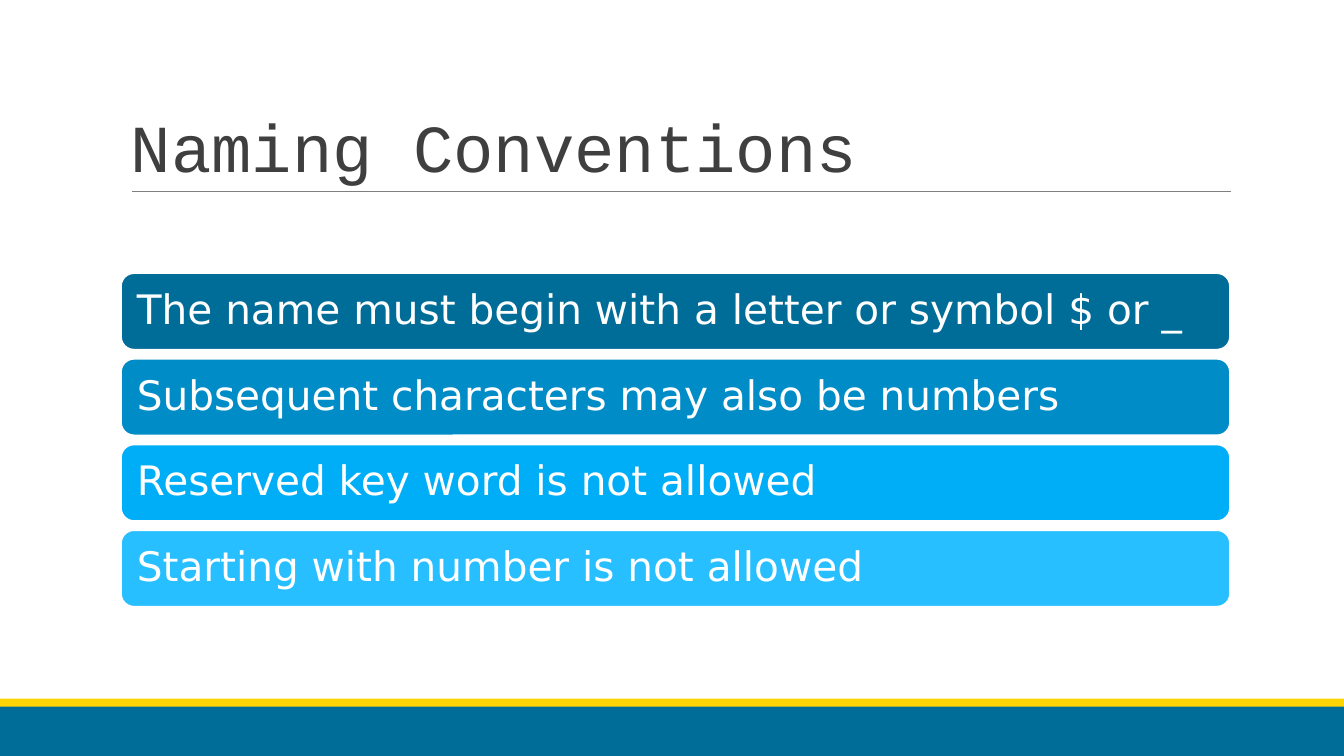
from pptx import Presentation
from pptx.dml.color import RGBColor
from pptx.enum.shapes import MSO_CONNECTOR, MSO_SHAPE
from pptx.enum.text import MSO_ANCHOR, PP_ALIGN
from pptx.oxml.ns import qn
from pptx.util import Inches, Pt

# Content
TITLE = "Naming Conventions"
RULES = [
    ("The name must begin with a letter or symbol $ or _", RGBColor(0x00, 0x6C, 0x98)),
    ("Subsequent characters may also be numbers", RGBColor(0x00, 0x8C, 0xC7)),
    ("Reserved key word is not allowed", RGBColor(0x00, 0xAE, 0xF7)),
    ("Starting with number is not allowed", RGBColor(0x27, 0xBF, 0xFF)),
]

# Colours and fonts
WHITE = RGBColor(0xFF, 0xFF, 0xFF)
BLUE = RGBColor(0x00, 0x6C, 0x98)
YELLOW = RGBColor(0xFF, 0xD5, 0x03)
GREY = RGBColor(0x7F, 0x7F, 0x7F)
DARK = RGBColor(0x3F, 0x3F, 0x3F)
TITLE_FONT, BODY_FONT = "Courier New", "DejaVu Sans"

# Layout in inches
SLIDE_W, SLIDE_H = 13.33, 7.5
LEFT, WIDTH = 1.2, 11
BAR_TOP, BAR_H, BAR_STEP = 2.71, 0.76, 0.85


def add_block(s, kind, x, y, w, h, fill):
    sp = s.shapes.add_shape(kind, Inches(x), Inches(y), Inches(w), Inches(h))
    sp.shadow.inherit = False
    sp.fill.solid()
    sp.fill.fore_color.rgb = fill
    sp.line.fill.background()
    return sp


def set_text(tf, text, font, size, color, spacing, anchor, inset_x, inset_y):
    tf.word_wrap = True
    tf.vertical_anchor = anchor
    tf.margin_left = tf.margin_right = Inches(inset_x)
    tf.margin_top = tf.margin_bottom = Inches(inset_y)
    p = tf.paragraphs[0]
    p.text = text
    p.alignment = PP_ALIGN.LEFT
    p.line_spacing = spacing
    r = p.runs[0]
    r.font.name = font
    r.font.size = Pt(size)
    r.font.color.rgb = color


prs = Presentation()
prs.slide_width, prs.slide_height = Inches(SLIDE_W), Inches(SLIDE_H)
s = prs.slides.add_slide(prs.slide_layouts[6])

# Footer bands
add_block(s, MSO_SHAPE.RECTANGLE, 0, 7, SLIDE_W, 0.5, BLUE)
add_block(s, MSO_SHAPE.RECTANGLE, 0, 6.93, SLIDE_W, 0.08, YELLOW)

# Title with rule below
rule = s.shapes.add_connector(MSO_CONNECTOR.STRAIGHT, Inches(1.31), Inches(1.9),
                              Inches(12.21), Inches(1.9))
rule.line.color.rgb = GREY
rule.line.width = Pt(0.75)
sp_pr = rule._element.spPr
sp_pr.append(sp_pr.makeelement(qn("a:effectLst"), {}))

title = s.shapes.add_textbox(Inches(LEFT), Inches(0.31), Inches(WIDTH), Inches(1.59))
set_text(title.text_frame, TITLE, TITLE_FONT, 48, DARK, 0.85, MSO_ANCHOR.BOTTOM, 0.1, 0.05)

# Naming rule bars
for i, (text, fill) in enumerate(RULES):
    bar = add_block(s, MSO_SHAPE.ROUNDED_RECTANGLE, LEFT, BAR_TOP + i * BAR_STEP,
                    WIDTH, BAR_H, fill)
    bar.adjustments[0] = 0.17
    bar.line.color.rgb = WHITE
    bar.line.width = Pt(1.25)
    set_text(bar.text_frame, text, BODY_FONT, 29, WHITE, 0.9, MSO_ANCHOR.MIDDLE, 0.12, 0.12)

prs.save("out.pptx")
